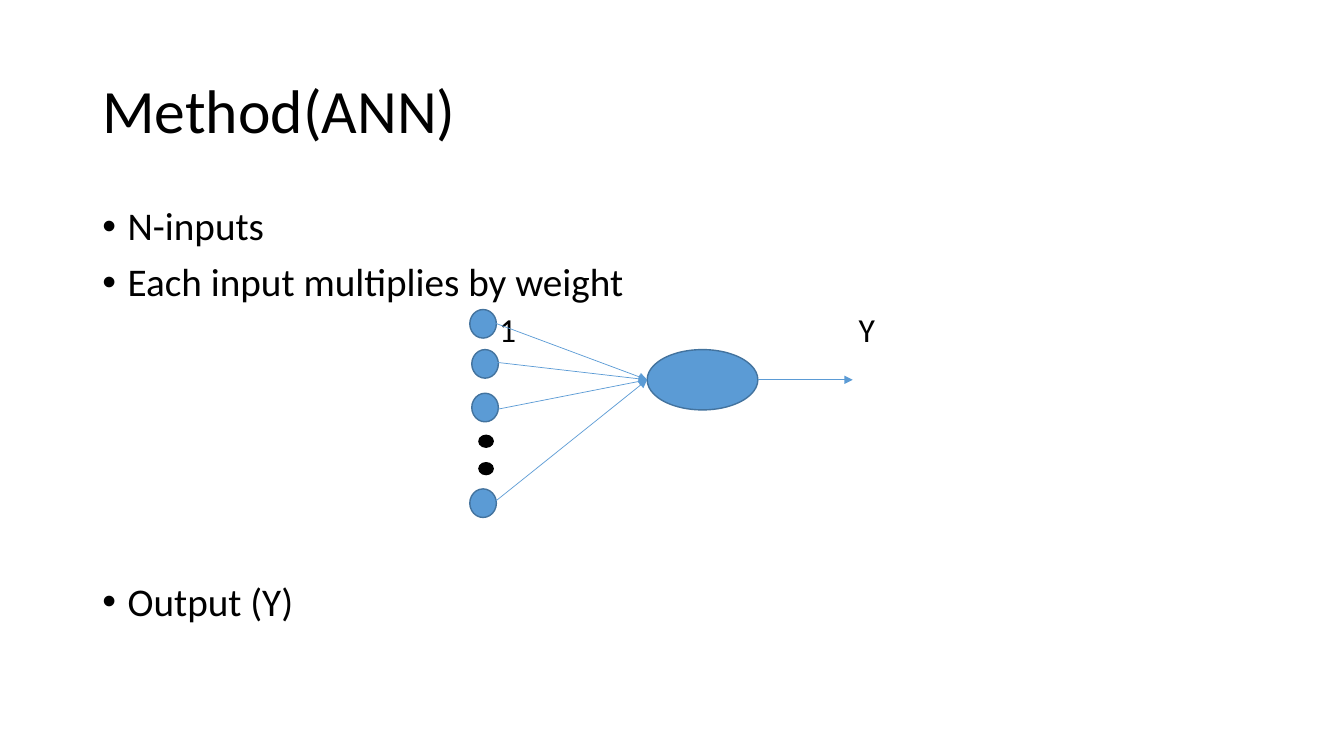
from typing import NamedTuple

from lxml import etree
from pptx import Presentation
from pptx.dml.color import RGBColor
from pptx.enum.shapes import MSO_CONNECTOR, MSO_SHAPE
from pptx.enum.text import MSO_ANCHOR
from pptx.oxml.ns import qn
from pptx.util import Cm, Pt

ELLIPSE = MSO_SHAPE.OVAL
NODE = MSO_SHAPE.FLOWCHART_CONNECTOR
STRAIGHT = MSO_CONNECTOR.STRAIGHT
TOP = MSO_ANCHOR.TOP
MIDDLE = MSO_ANCHOR.MIDDLE

FONT = "Calibri"
BLACK = "000000"
BLUE = "5B9BD5"
DARK_BLUE = "43739E"
BULLET_INDENT = Cm(0.64)


class Area(NamedTuple):
    left: float
    top: float
    width: float
    height: float


class Line(NamedTuple):
    text: str
    size: float
    space_before: float = 0
    bullet: bool = False


class TextBlock(NamedTuple):
    area: Area
    lines: list[Line]
    anchor: MSO_ANCHOR = TOP
    margin_x: float = 0.25
    margin_y: float = 0.13


class InputNode(NamedTuple):
    left: float
    top: float
    arrow_x: float
    arrow_y: float


TEXT_BLOCKS = [
    TextBlock(Area(2.33, 1.02, 29.21, 3.68), [Line("Method(ANN)", 44)], MIDDLE),
    TextBlock(Area(2.33, 5.08, 29.21, 12.09), [
        Line("N-inputs", 28, bullet=True),
        Line("Each input multiplies by weight", 28, 10, True),
        Line("Output (Y)", 28, 198, True),
    ]),
    TextBlock(Area(12.58, 7.9, 0.8, 1), [Line("1", 24)], margin_x=0, margin_y=0),
    TextBlock(Area(21.64, 7.9, 0.8, 1), [Line("Y", 24)], margin_x=0, margin_y=0),
]

INPUT_NODES = [
    InputNode(11.84, 7.8, 12.5, 8.15),
    InputNode(11.89, 8.81, 12.42, 9.12),
    InputNode(11.89, 9.91, 12.55, 10.31),
    InputNode(11.84, 12.32, 12.5, 12.62),
]
INPUT_WIDTH, INPUT_HEIGHT = 0.67, 0.72

NEURON = Area(16.31, 8.81, 2.79, 1.52)
NEURON_MIDDLE = NEURON.top + NEURON.height / 2
OUTPUT_END = 21.49
DOT_TOPS = [10.97, 11.66]


def color(value: str) -> RGBColor:
    return RGBColor.from_string(value)


def add_text(slide, block: TextBlock) -> None:
    box = slide.shapes.add_textbox(*map(Cm, block.area))
    frame = box.text_frame
    frame.word_wrap = True
    frame.vertical_anchor = block.anchor
    frame.margin_left = frame.margin_right = Cm(block.margin_x)
    frame.margin_top = frame.margin_bottom = Cm(block.margin_y)
    for index, line in enumerate(block.lines):
        para = frame.add_paragraph() if index else frame.paragraphs[0]
        para.line_spacing = 0.9
        para.space_before = Pt(line.space_before)
        if line.bullet:
            add_bullet(para)
        span = para.add_run()
        span.text = line.text
        span.font.name = FONT
        span.font.size = Pt(line.size)
        span.font.color.rgb = color(BLACK)


def add_bullet(para) -> None:
    properties = para._p.get_or_add_pPr()
    properties.set("marL", str(BULLET_INDENT))
    properties.set("indent", str(-BULLET_INDENT))
    etree.SubElement(properties, qn("a:buFont"), typeface="Arial")
    etree.SubElement(properties, qn("a:buChar"), char="•")


def add_node(slide, kind: MSO_SHAPE, area: Area, fill: str, outline: str) -> None:
    shape = slide.shapes.add_shape(kind, *map(Cm, area))
    shape.shadow.inherit = False
    shape.fill.solid()
    shape.fill.fore_color.rgb = color(fill)
    shape.line.color.rgb = color(outline)
    shape.line.width = Pt(1)


def add_arrow(slide, x1: float, y1: float, x2: float, y2: float) -> None:
    arrow = slide.shapes.add_connector(STRAIGHT, Cm(x1), Cm(y1), Cm(x2), Cm(y2))
    arrow.line.color.rgb = color(BLUE)
    arrow.line.width = Pt(0.5)
    etree.SubElement(arrow.line._get_or_add_ln(), qn("a:tailEnd"), type="triangle")
    etree.SubElement(arrow._element.spPr, qn("a:effectLst"))


def main() -> None:
    deck = Presentation()
    deck.slide_width, deck.slide_height = Cm(33.87), Cm(19.05)
    slide = deck.slides.add_slide(deck.slide_layouts[6])

    for block in TEXT_BLOCKS:
        add_text(slide, block)

    add_node(slide, ELLIPSE, NEURON, BLUE, DARK_BLUE)
    for node in INPUT_NODES:
        area = Area(node.left, node.top, INPUT_WIDTH, INPUT_HEIGHT)
        add_node(slide, NODE, area, BLUE, DARK_BLUE)
    for node in INPUT_NODES:
        add_arrow(slide, node.arrow_x, node.arrow_y, NEURON.left, NEURON_MIDDLE)
    add_arrow(slide, NEURON.left + NEURON.width, NEURON_MIDDLE, OUTPUT_END, NEURON_MIDDLE)
    for top in DOT_TOPS:
        add_node(slide, NODE, Area(12.07, top, 0.36, 0.3), BLACK, BLACK)

    deck.save("out.pptx")


if __name__ == "__main__":
    main()
